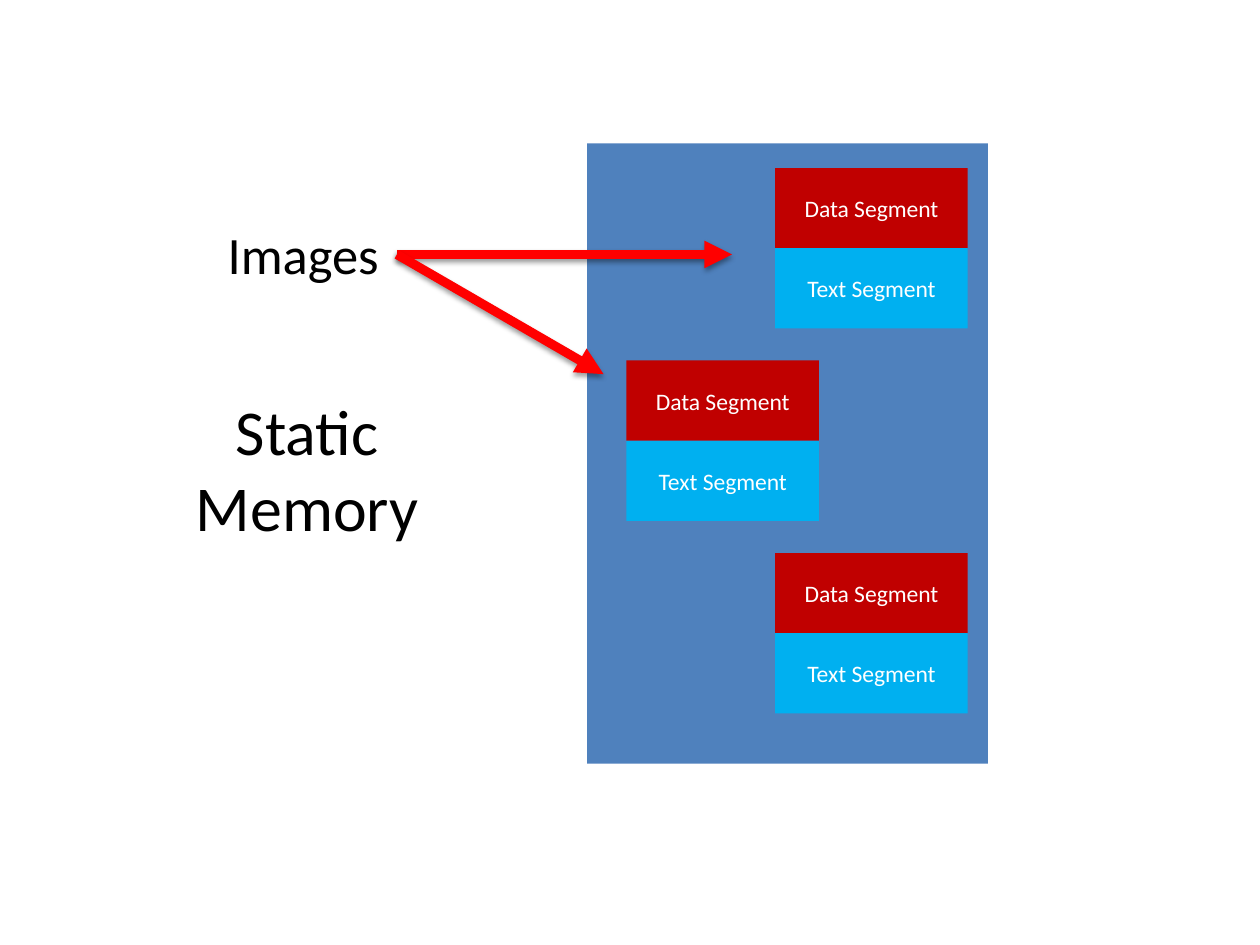
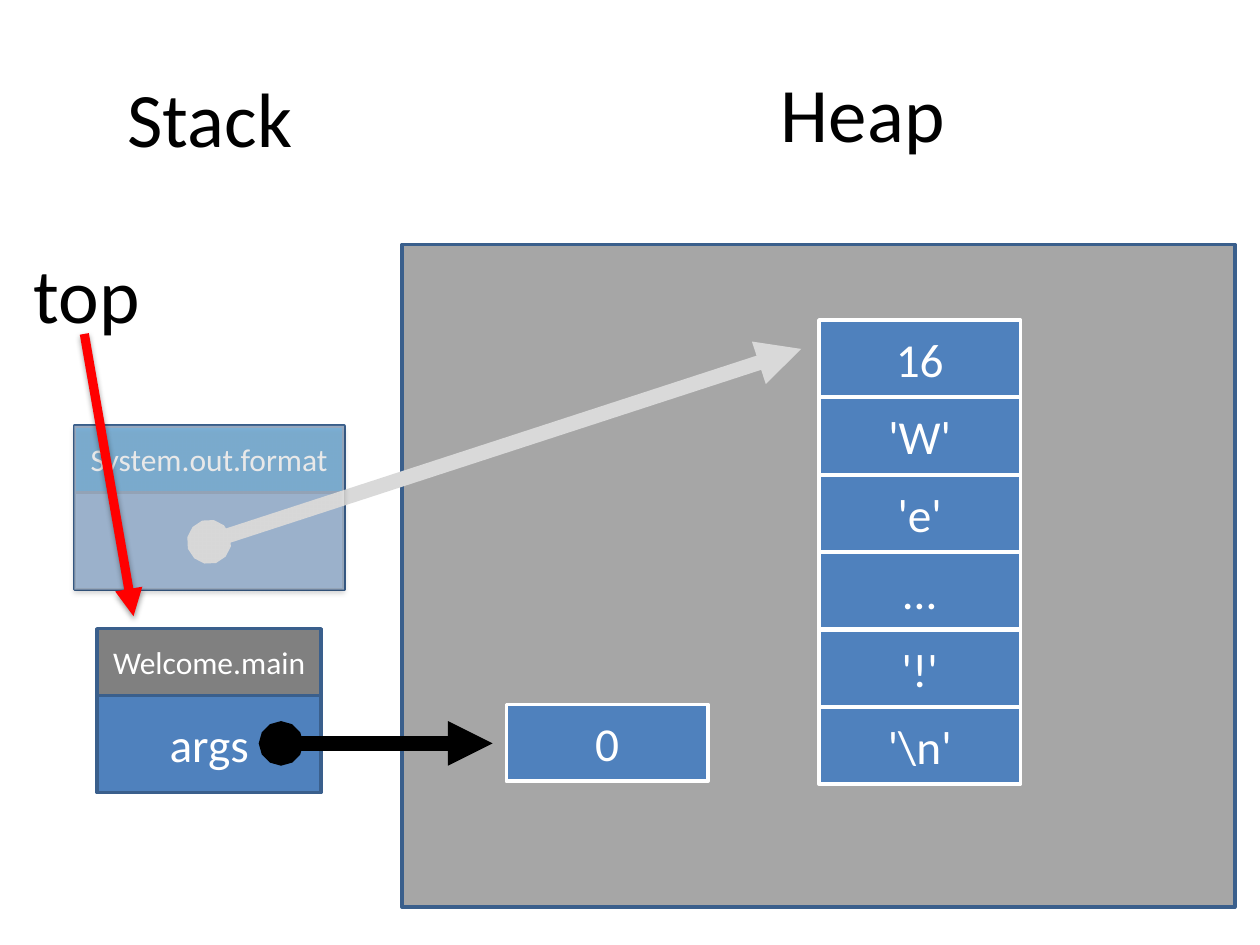
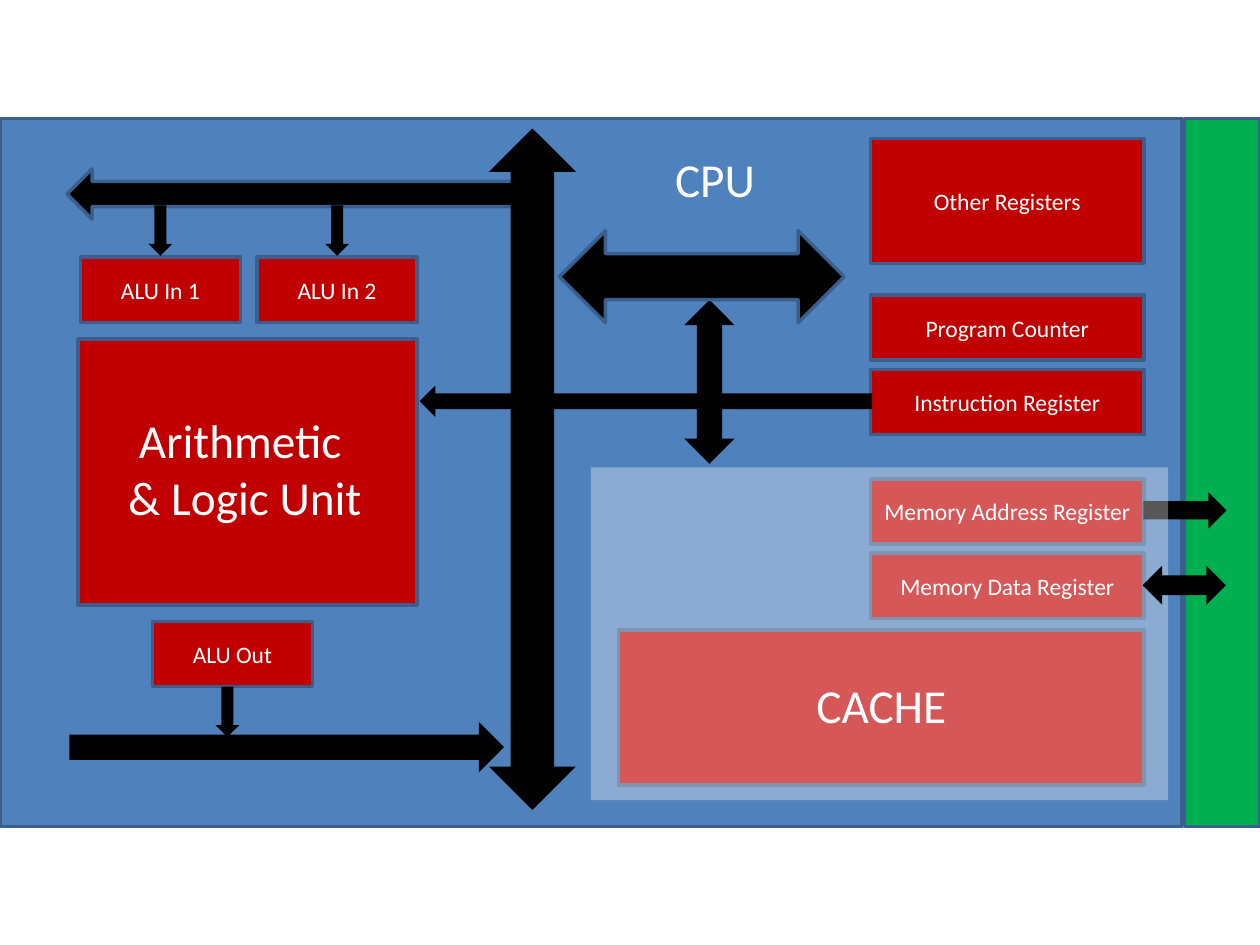
import dataclasses
from typing import Optional

import lxml.etree
import pptx
import pptx.dml.color
import pptx.enum.shapes
import pptx.enum.text
import pptx.oxml.ns
import pptx.util

Pt = pptx.util.Pt
RGBColor = pptx.dml.color.RGBColor
Kind = pptx.enum.shapes.MSO_SHAPE
Align = pptx.enum.text.PP_ALIGN
qn = pptx.oxml.ns.qn

FONT = "Calibri"
BLACK = RGBColor(0x00, 0x00, 0x00)
WHITE = RGBColor(0xFF, 0xFF, 0xFF)
BLUE = RGBColor(0x4F, 0x81, 0xBD)
NAVY = RGBColor(0x3A, 0x5F, 0x8C)
SKY = RGBColor(0x00, 0xB0, 0xF0)
OCEAN = RGBColor(0x00, 0x70, 0xC0)
CRIMSON = RGBColor(0xC0, 0x00, 0x00)
RED = RGBColor(0xFF, 0x00, 0x00)
GREEN = RGBColor(0x00, 0xB0, 0x50)
GRAY = RGBColor(0x80, 0x80, 0x80)
SILVER = RGBColor(0xA6, 0xA6, 0xA6)
PALE = RGBColor(0xD9, 0xD9, 0xD9)

HEADING_SIZE = 44
VALUE_SIZE = 27
FRAME_SIZE = 18
SMALL_SIZE = 13.5
CELL_WIDTH, CELL_HEIGHT, CELL_STEP = 115.2, 44, 44.25
SEGMENT_WIDTH, SEGMENT_HEIGHT = 110, 45.85
HEADER_HEIGHT, BODY_HEIGHT = 38.2, 55.4
REGISTER_LEFT, REGISTER_WIDTH, REGISTER_HEIGHT = 497.5, 156.2, 37.4
ALU_PORT_WIDTH = 91.4


@dataclasses.dataclass
class Box:
    """A filled preset shape, with lengths in points."""
    left: float
    top: float
    width: float
    height: float
    fill: RGBColor
    line: Optional[RGBColor] = None
    text: str = ""
    size: float = SMALL_SIZE
    kind: Kind = Kind.RECTANGLE
    opacity: int = 100


@dataclasses.dataclass
class Label:
    """A text box, with lengths in points."""
    text: str
    left: float
    top: float
    width: float
    height: float
    size: float = HEADING_SIZE
    color: RGBColor = BLACK
    align: Align = Align.CENTER
    wrap: bool = True


@dataclasses.dataclass
class Arrow:
    """A straight arrow, with lengths in points."""
    start: tuple[float, float]
    end: tuple[float, float]
    color: RGBColor = RED
    weight: float = 5.25
    round_start: bool = False
    shadow: bool = True


def write_text(frame, text: str, size: float, color: RGBColor, align: Align) -> None:
    """Fill a text frame with middle-anchored paragraphs in one style."""
    frame.text = text
    frame.vertical_anchor = pptx.enum.text.MSO_ANCHOR.MIDDLE
    for para in frame.paragraphs:
        para.alignment = align
        para.font.name = FONT
        para.font.size = Pt(size)
        para.font.color.rgb = color


def set_shadow(shape, blur: float = 3.1, distance: float = 0, opacity: int = 0) -> None:
    """Give a shape a downward shadow, or none when opacity is zero."""
    properties = shape._element.spPr
    for old in properties.findall(qn("a:effectLst")):
        properties.remove(old)
    effects = lxml.etree.SubElement(properties, qn("a:effectLst"))
    if opacity:
        outer = lxml.etree.SubElement(
            effects, qn("a:outerShdw"), blurRad=str(Pt(blur)), dist=str(Pt(distance)),
            dir="5400000", rotWithShape="0")
        color = lxml.etree.SubElement(outer, qn("a:srgbClr"), val=str(BLACK))
        lxml.etree.SubElement(color, qn("a:alpha"), val=str(opacity * 1000))


def draw_box(page, box: Box):
    """Draw one filled shape and its centred text."""
    shape = page.shapes.add_shape(
        box.kind, Pt(box.left), Pt(box.top), Pt(box.width), Pt(box.height))
    shape.shadow.inherit = False
    shape.fill.solid()
    shape.fill.fore_color.rgb = box.fill
    if box.opacity < 100:
        color = shape._element.spPr.find(qn("a:solidFill"))[0]
        lxml.etree.SubElement(color, qn("a:alpha"), val=str(box.opacity * 1000))
    if box.line is None:
        shape.line.fill.background()
    else:
        shape.line.color.rgb = box.line
        shape.line.width = Pt(2)
    if box.text:
        frame = shape.text_frame
        frame.margin_left = frame.margin_right = Pt(3)
        write_text(frame, box.text, box.size, WHITE, Align.CENTER)
    return shape


def draw_label(page, label: Label) -> None:
    """Draw one text box."""
    shape = page.shapes.add_textbox(
        Pt(label.left), Pt(label.top), Pt(label.width), Pt(label.height))
    shape.text_frame.word_wrap = label.wrap
    write_text(shape.text_frame, label.text, label.size, label.color, label.align)


def draw_arrow(page, arrow: Arrow) -> None:
    """Draw one connector that ends in a triangle."""
    connector = page.shapes.add_connector(
        pptx.enum.shapes.MSO_CONNECTOR.STRAIGHT,
        *(Pt(length) for length in arrow.start + arrow.end))
    connector.line.color.rgb = arrow.color
    connector.line.width = Pt(arrow.weight)
    outline = connector.line._get_or_add_ln()
    if arrow.round_start:
        lxml.etree.SubElement(outline, qn("a:headEnd"), type="oval")
    lxml.etree.SubElement(outline, qn("a:tailEnd"), type="triangle")
    set_shadow(connector, distance=1.6, opacity=38 if arrow.shadow else 0)


def draw_all(page, items: list) -> None:
    """Draw boxes, labels and arrows from back to front."""
    painters = {Box: draw_box, Label: draw_label, Arrow: draw_arrow}
    for item in items:
        painters[type(item)](page, item)


def reference(start: tuple[float, float], end: tuple[float, float], color: RGBColor) -> Arrow:
    """Describe a pointer from a stack frame to the heap."""
    return Arrow(start, end, color, 8.5, round_start=True, shadow=False)


def stack_frame(left: float, top: float, width: float, header: RGBColor,
                method: str, variable: str = "") -> list[Box]:
    """Describe a method header above its variables."""
    return [
        Box(left, top, width, HEADER_HEIGHT, header, NAVY, method, FRAME_SIZE),
        Box(left, top + HEADER_HEIGHT, width, BODY_HEIGHT, BLUE, NAVY, variable, VALUE_SIZE),
    ]


def heap_cell(left: float, top: float, value: str) -> Box:
    """Describe one value on the heap."""
    return Box(left, top, CELL_WIDTH, CELL_HEIGHT, BLUE, WHITE, value, VALUE_SIZE)


def register(text: str, top: float, height: float = REGISTER_HEIGHT) -> Box:
    """Describe one register in the right column."""
    return Box(REGISTER_LEFT, top, REGISTER_WIDTH, height, CRIMSON, NAVY, text)


def alu_port(text: str, left: float, top: float) -> Box:
    """Describe one input or output of the arithmetic unit."""
    return Box(left, top, ALU_PORT_WIDTH, REGISTER_HEIGHT, CRIMSON, NAVY, text)


def bus(kind: Kind, left: float, top: float, width: float, height: float,
        line: Optional[RGBColor] = None) -> Box:
    """Describe a black block arrow."""
    return Box(left, top, width, height, BLACK, line, kind=kind)


def build_static_memory(page) -> None:
    """Show program images in static memory."""
    draw_all(page, [
        Label("Static Memory", 62.5, 228.2, 226, 78.5, 36.5),
        Box(335.5, 82, 229, 354.4, BLUE),
    ])
    for index, left in enumerate((443, 358, 443)):
        top = 96 + 110 * index
        for row, (text, fill) in enumerate((("Data Segment", CRIMSON), ("Text Segment", SKY))):
            draw_box(page, Box(left, top + row * SEGMENT_HEIGHT,
                               SEGMENT_WIDTH, SEGMENT_HEIGHT, fill, text=text))
    draw_label(page, Label("Images", 123, 123, 101.5, 44, 30, align=Align.LEFT, wrap=False))
    for end in ((418.3, 145.4), (344.9, 213.8)):
        draw_arrow(page, Arrow((226.8, 145.4), end))


def build_stack_and_heap(page) -> None:
    """Show the stack after a call has returned, beside the heap."""
    values = ("16", "'W'", "'e'", "…", "'!'", "'\\n'")
    draw_all(page, [
        Label("Stack", 36, 21.6, 168, 90),
        *stack_frame(55.4, 359.3, 128.2, GRAY, "Welcome.main", "args"),
        Box(229.7, 139.7, 476, 378.7, SILVER, NAVY),
        Label("Heap", 409, 18.7, 168, 90),
        heap_cell(289.4, 402.5, "0"),
        reference((160.6, 424.8), (281.5, 424.8), BLACK),
        *stack_frame(42.5, 243.4, 154, OCEAN, "System.out.format"),
        reference((119.5, 309.6), (457.9, 199.4), PALE),
        *(heap_cell(468, 182.9 + CELL_STEP * row, value) for row, value in enumerate(values)),
    ])
    veil = draw_box(page, Box(42.5, 243.4, 154, HEADER_HEIGHT + BODY_HEIGHT, WHITE, opacity=48))
    set_shadow(veil, distance=1.8, opacity=35)
    draw_all(page, [
        Label("top", 8, 136, 83.5, 62),
        Arrow((48.2, 190.8), (76.3, 352.1)),
    ])


def build_processor(page) -> None:
    """Show the parts of a processor and the buses between them."""
    draw_all(page, [
        Box(676.8, 67.7, 43.2, 404.6, GREEN, NAVY),
        Box(0, 67.7, 675.4, 404.6, BLUE, NAVY),
        Label("CPU", 378.7, 82, 60.5, 40.3, VALUE_SIZE, WHITE, Align.LEFT, False),
        Box(353.5, 360, 300.2, 88.6, CRIMSON, NAVY),
        Label("CACHE", 393.8, 382.3, 219.6, 40.3, VALUE_SIZE, WHITE),
        Box(44.6, 193.7, 193.7, 152, CRIMSON, NAVY),
        Label(" Arithmetic\n& Logic Unit", 66.2, 231, 165.6, 72.7, VALUE_SIZE, WHITE, Align.LEFT),
        bus(Kind.UP_DOWN_ARROW, 391, 171.4, 28.8, 93.6),
        bus(Kind.LEFT_RIGHT_ARROW, 38.2, 96.5, 272.2, 28.8, NAVY),
        bus(Kind.LEFT_RIGHT_ARROW, 319.7, 131.8, 162.7, 52.6, NAVY),
        register("Program Counter", 168.5),
        alu_port("ALU In 1", 46, 146.9),
        alu_port("ALU In 2", 146.9, 146.9),
        alu_port("ALU Out", 87.1, 355),
        bus(Kind.UP_DOWN_ARROW, 279.4, 73.4, 49.7, 389.5),
        bus(Kind.LEFT_RIGHT_ARROW, 13, 412.6, 275, 28.8),
        register("Other Registers", 79.2, 71.3),
        *(bus(Kind.DOWN_ARROW, left, top, 13.7, 28.8)
          for left, top in ((185.8, 117.4), (84.8, 117.4), (123.1, 392.4))),
        register("Instruction Register", 211),
        bus(Kind.LEFT_ARROW, 239.8, 220.3, 258.5, 18),
        register("Memory Data Register", 316.1),
        register("Memory Address Register", 273.6),
        bus(Kind.RIGHT_ARROW, 653.4, 281.2, 47.5, 20.9),
        Box(4.3, 407.5, 35.3, 36.7, BLUE),
        Box(337.7, 267.1, 329.8, 190.1, WHITE, opacity=34),
        bus(Kind.LEFT_RIGHT_ARROW, 653, 323.3, 47.5, 22.3),
    ])


def main() -> None:
    """Build and save the deck."""
    deck = pptx.Presentation()
    deck.slide_width, deck.slide_height = Pt(720), Pt(540)
    for build in (build_static_memory, build_stack_and_heap, build_processor):
        build(deck.slides.add_slide(deck.slide_layouts[6]))
    deck.save("out.pptx")


if __name__ == "__main__":
    main()
